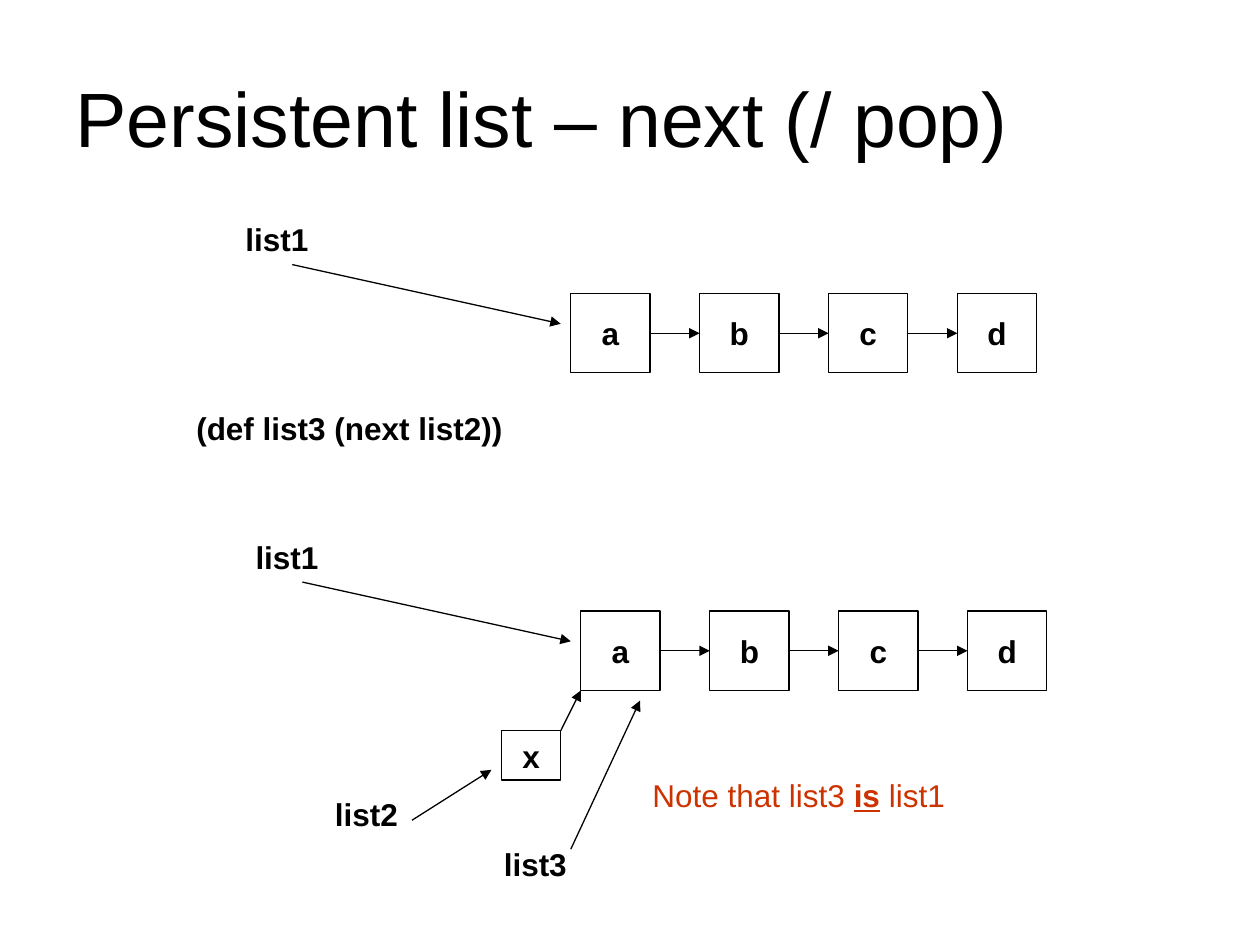
from dataclasses import dataclass
from itertools import pairwise

from lxml import etree
from pptx import Presentation
from pptx.dml.color import RGBColor
from pptx.enum.shapes import MSO_CONNECTOR, MSO_SHAPE
from pptx.enum.text import MSO_ANCHOR, PP_ALIGN
from pptx.oxml.ns import qn
from pptx.util import Inches, Pt

RECT = MSO_SHAPE.RECTANGLE
STRAIGHT = MSO_CONNECTOR.STRAIGHT
MIDDLE = MSO_ANCHOR.MIDDLE
TOP = MSO_ANCHOR.TOP
CENTER = PP_ALIGN.CENTER
LEFT, RIGHT = 1, 3


@dataclass(frozen=True)
class Theme:
    face: str = "Arial"
    ink: RGBColor = RGBColor(0, 0, 0)
    note: RGBColor = RGBColor(0xCC, 0x33, 0)
    head: Pt = Pt(44)
    body: Pt = Pt(18)
    rule: Pt = Pt(0.75)


THEME = Theme()
NODE = 0.63
STEP = 1.023


def add_run(para, text, **extra):
    run = para.add_run()
    run.text = text
    look = {"name": THEME.face, "size": THEME.body, "bold": True, **extra}
    for key, value in look.items():
        if key == "color":
            run.font.color.rgb = value
        else:
            setattr(run.font, key, value)
    if "color" not in look:
        run.font.color.rgb = THEME.ink


def add_text(slide, at, parts, anchor=TOP):
    box = slide.shapes.add_textbox(*map(Inches, at))
    frame = box.text_frame
    frame.word_wrap = True
    frame.vertical_anchor = anchor
    for text, extra in parts:
        add_run(frame.paragraphs[0], text, **extra)


def add_label(slide, left, top, width, text):
    add_text(slide, (left, top, width, 0.4), [(text, {})])


def add_node(slide, left, top, text, width=NODE, height=NODE):
    node = slide.shapes.add_shape(RECT, *map(Inches, (left, top, width, height)))
    node.shadow.inherit = False
    node.fill.background()
    node.line.color.rgb = THEME.ink
    node.line.width = THEME.rule
    frame = node.text_frame
    frame.word_wrap = False
    frame.vertical_anchor = MIDDLE
    para = frame.paragraphs[0]
    para.alignment = CENTER
    add_run(para, text)
    return node


def add_arrow(slide, start=(0, 0), end=(0, 0)):
    arrow = slide.shapes.add_connector(STRAIGHT, *map(Inches, (*start, *end)))
    arrow.line.color.rgb = THEME.ink
    arrow.line.width = THEME.rule
    line = arrow.line._get_or_add_ln()
    etree.SubElement(line, qn("a:tailEnd"), type="triangle")
    etree.SubElement(arrow._element.spPr, qn("a:effectLst"))
    return arrow


def add_chain(slide, left, top, names):
    nodes = [add_node(slide, left + i * STEP, top, name)
             for i, name in enumerate(names)]
    for prev, node in pairwise(nodes):
        arrow = add_arrow(slide)
        arrow.begin_connect(prev, RIGHT)
        arrow.end_connect(node, LEFT)


def add_list(slide, left, top):
    add_label(slide, left, top, 1.26, "list1")
    add_arrow(slide, (left + 0.47, top + 0.4), (left + 2.6, top + 0.87))
    add_chain(slide, left + 2.68, top + 0.63, "abcd")


def main():
    deck = Presentation()
    deck.slide_width, deck.slide_height = Inches(10), Inches(7.5)
    slide = deck.slides.add_slide(deck.slide_layouts[6])

    title = ("Persistent list – next (/ pop)", {"size": THEME.head, "bold": False})
    add_text(slide, (0.5, 0.3, 9, 1.25), [title], MIDDLE)

    add_list(slide, 1.85, 1.7)
    add_label(slide, 1.46, 3.2, 3.23, "(def list3 (next list2))")
    add_list(slide, 1.93, 4.22)

    add_label(slide, 3.9, 6.66, 0.79, "list3")
    add_arrow(slide, (4.53, 6.74), (5.08, 5.56))
    add_node(slide, 3.98, 5.8, "x", 0.47, 0.39)
    add_arrow(slide, (4.45, 5.8), (4.61, 5.48))
    add_label(slide, 2.56, 6.26, 0.79, "list2")
    add_arrow(slide, (3.27, 6.51), (3.9, 6.11))

    plain = {"color": THEME.note, "bold": False}
    strong = {"color": THEME.note, "underline": True}
    add_text(slide, (5.08, 6.11, 3.94, 0.4), [
        ("Note that list3 ", plain), ("is", strong), (" list1", plain)])

    deck.save("out.pptx")


if __name__ == "__main__":
    main()
